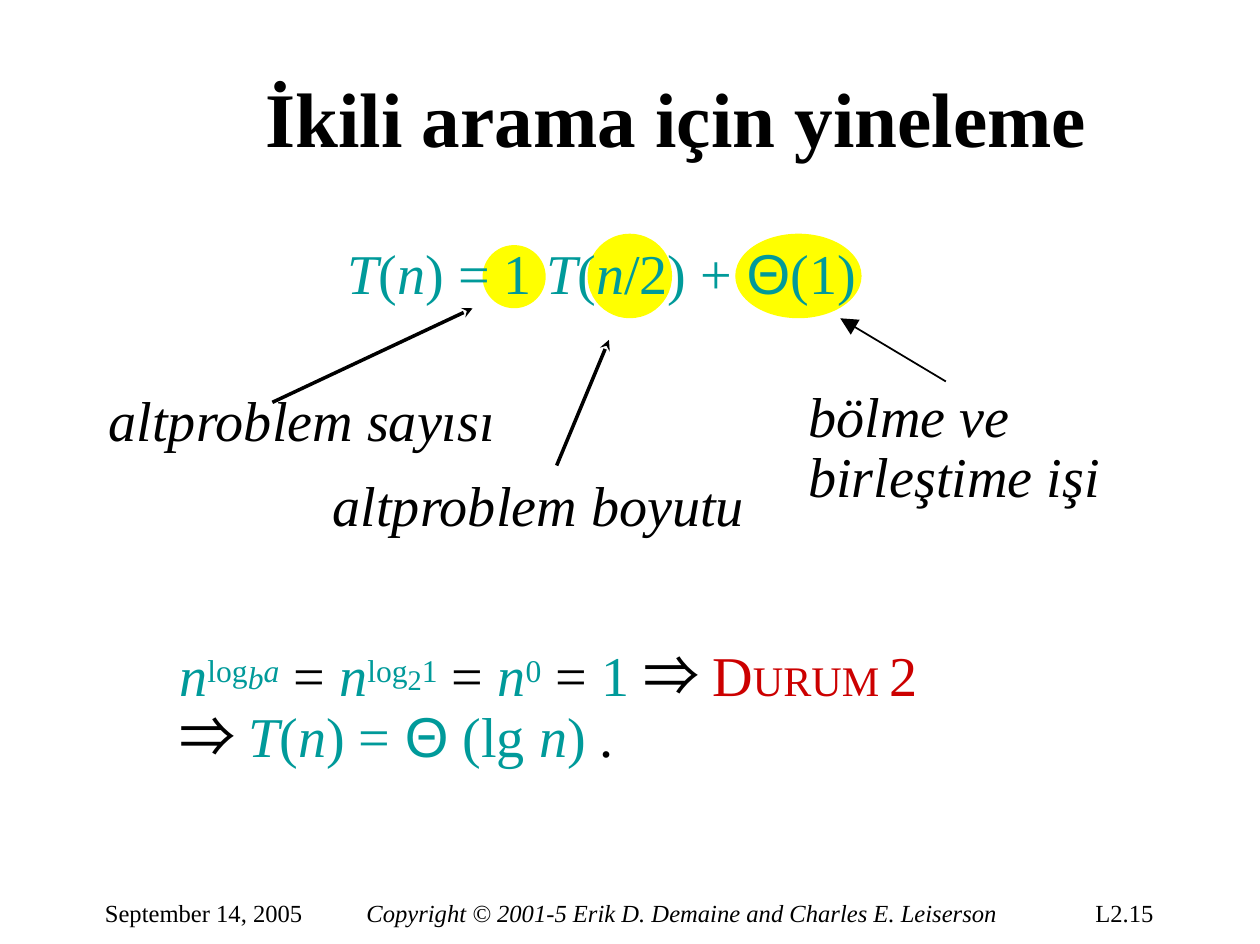
from lxml import etree
from pptx import Presentation
from pptx.dml.color import RGBColor
from pptx.enum import shapes, text
from pptx.oxml import ns
from pptx.util import Pt

BLACK = RGBColor(0x00, 0x00, 0x00)
TEAL = RGBColor(0x00, 0x9A, 0x9A)
RED = RGBColor(0xCC, 0x00, 0x00)
YELLOW = RGBColor(0xFF, 0xFF, 0x00)
SERIF = "Times New Roman"
SANS = "Arial"
SYMBOL = "Noto Sans CJK JP"


def piece(words, color=TEAL, size=32, italic=False, bold=False, font=SERIF, raised=0):
    return dict(words=words, color=color, size=size, italic=italic,
                bold=bold, font=font, raised=raised)


def variable(words):
    return piece(words, italic=True)


def exponent(words, size=31, raised=26, italic=False):
    return piece(words, size=size, raised=raised, italic=italic)


def black(words, size=32, **style):
    return piece(words, BLACK, size, **style)


def add_piece(paragraph, style):
    run = paragraph.add_run()
    run.text = style["words"]
    font = run.font
    font.size = Pt(style["size"])
    font.bold = style["bold"]
    font.italic = style["italic"]
    font.color.rgb = style["color"]
    font.name = style["font"]
    properties = run._r.get_or_add_rPr()
    etree.SubElement(properties, ns.qn("a:ea"), typeface=style["font"])
    if style["raised"]:
        properties.set("baseline", str(style["raised"] * 1000))


def add_text(slide, left, top, width, height, lines, spacings=(None,), align=None):
    frame = slide.shapes.add_textbox(Pt(left), Pt(top), Pt(width), Pt(height)).text_frame
    frame.word_wrap = True
    frame.margin_left = frame.margin_right = frame.margin_top = frame.margin_bottom = 0
    for index, (pieces, spacing) in enumerate(zip(lines, spacings)):
        paragraph = frame.add_paragraph() if index else frame.paragraphs[0]
        paragraph.alignment = align
        if spacing:
            paragraph.line_spacing = Pt(spacing)
        for style in pieces:
            add_piece(paragraph, style)


def add_highlight(slide, left, top, width, height):
    highlight = slide.shapes.add_shape(
        shapes.MSO_SHAPE.OVAL, Pt(left), Pt(top), Pt(width), Pt(height))
    highlight.shadow.inherit = False
    highlight.fill.solid()
    highlight.fill.fore_color.rgb = YELLOW
    highlight.line.fill.background()


def add_arrow(slide, start, end, weight, head, head_size):
    arrow = slide.shapes.add_connector(
        shapes.MSO_CONNECTOR.STRAIGHT, *map(Pt, start + end))
    arrow.line.color.rgb = BLACK
    arrow.line.width = Pt(weight)
    etree.SubElement(arrow.line._get_or_add_ln(), ns.qn("a:tailEnd"),
                     type=head, w=head_size, len=head_size)
    etree.SubElement(arrow._element.spPr, ns.qn("a:effectLst"))


def add_recurrence(slide):
    for bounds in ((275, 139.7, 36, 36), (334.8, 133.2, 48.2, 48.2), (419, 133.2, 72, 48.2)):
        add_highlight(slide, *bounds)
    add_text(slide, 198, 136.1, 371.5, 39.6, [[
        variable("T"), piece("("), variable("n"), piece(") = 1 "),
        variable("T"), piece("("), variable("n"), piece("/2) + "),
        piece("Θ", font=SANS), piece("(1)")]])


def add_explanations(slide):
    add_arrow(slide, (155.2, 229.3), (269.3, 175.7), 2, "stealth", "med")
    add_arrow(slide, (317.2, 265.3), (347, 193.7), 2, "stealth", "med")
    add_arrow(slide, (539, 217.4), (478.8, 181.4), 1, "triangle", "lg")
    add_text(slide, 62, 219.6, 240, 38, [[black("altproblem sayısı", italic=True)]])
    add_text(slide, 189.6, 268, 250, 38, [[black("altproblem boyutu", italic=True)]])
    add_text(slide, 460.6, 221, 168, 69,
             [[black("bölme ve birleştime işi", italic=True)]], (34.5,))


def add_solution(slide):
    case = [
        variable("n"), exponent("log"), exponent("b", raised=13, italic=True),
        exponent("a", italic=True), black(" = "),
        variable("n"), exponent("log"), exponent("2", size=28, raised=12),
        exponent("1"), black(" = "),
        variable("n"), exponent("0"), black(" = "), piece("1 "),
        black("⇒ ", font=SYMBOL),
        piece("D", RED), piece("URUM ", RED, 24), piece("2", RED)]
    result = [
        black("⇒ ", font=SYMBOL), variable("T"), piece("("), variable("n"),
        piece(") = "), piece("Θ", font=SANS), piece(" (lg "), variable("n"),
        piece(") "), black(".")]
    add_text(slide, 102.2, 365, 541, 73.4, [case, result], (None, 34.5))


def add_footer(slide):
    for left, width, words, italic in (
            (59.8, 130, "September 14, 2005", False),
            (208.8, 372, "Copyright © 2001-5 Erik D. Demaine and Charles E. Leiserson", True),
            (624.2, 45, "L2.15", False)):
        add_text(slide, left, 511.9, width, 18, [[black(words, 14, italic=italic)]])


def main():
    deck = Presentation()
    deck.slide_width, deck.slide_height = Pt(718), Pt(538)
    slide = deck.slides.add_slide(deck.slide_layouts[6])
    add_text(slide, 120, 40.3, 531, 52.6,
             [[black("İkili arama için yineleme", 44, bold=True)]],
             align=text.PP_ALIGN.CENTER)
    add_recurrence(slide)
    add_explanations(slide)
    add_solution(slide)
    add_footer(slide)
    deck.save("out.pptx")


if __name__ == "__main__":
    main()
